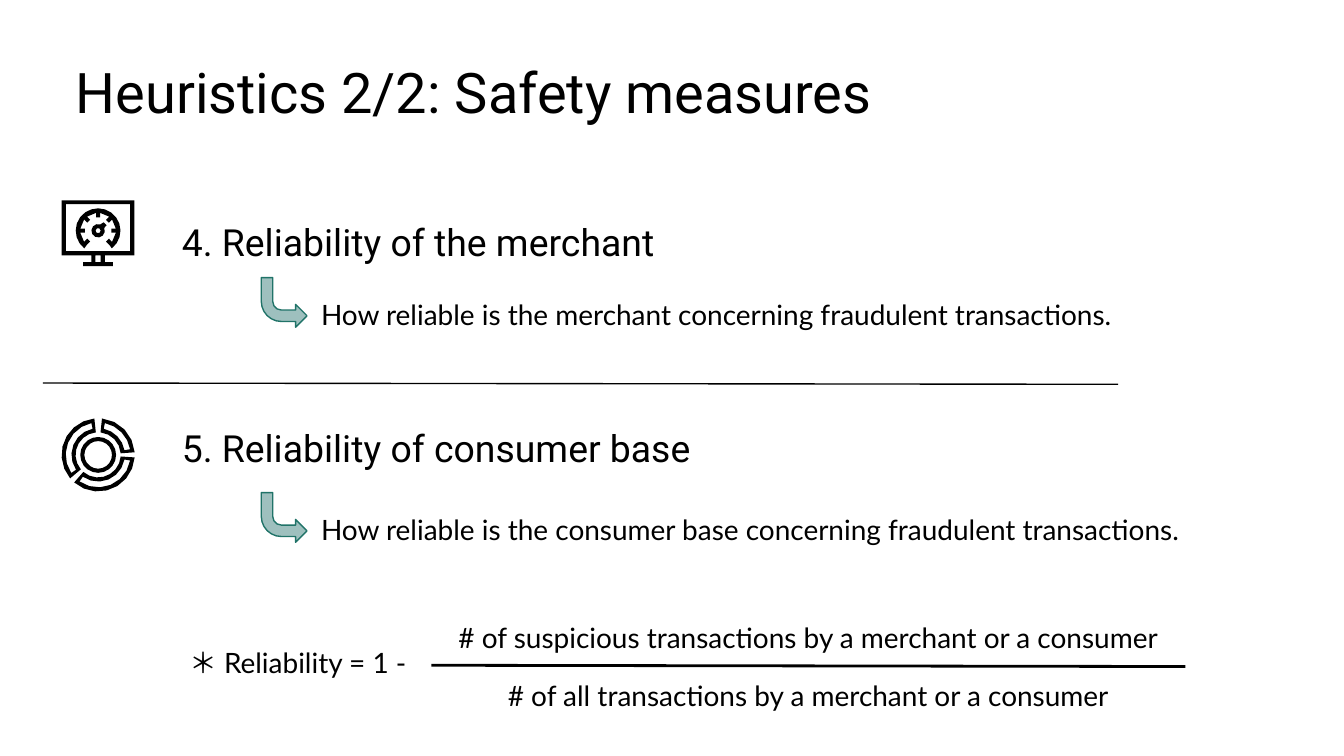
from dataclasses import dataclass
from math import cos, radians, sin

from lxml.etree import SubElement
from pptx import Presentation
from pptx.dml.color import RGBColor
from pptx.enum.shapes import MSO_CONNECTOR, MSO_SHAPE
from pptx.enum.text import MSO_ANCHOR, PP_ALIGN
from pptx.oxml.ns import qn
from pptx.util import Pt


@dataclass(frozen=True)
class Theme:
    ink: RGBColor = RGBColor(0x00, 0x00, 0x00)
    arrow_fill: RGBColor = RGBColor(0x9E, 0xC0, 0xBE)
    arrow_line: RGBColor = RGBColor(0x20, 0x73, 0x68)
    heading_font: str = "Roboto"
    body_font: str = "Lato"
    title_size: float = 30
    heading_size: float = 20
    body_size: float = 15
    thin: float = 0.75
    thick: float = 1.5
    inset: float = 7.2


# Icon geometry: angles in degrees, clockwise from the right
def polar(center, radius, angle):
    x, y = center
    return x + radius * cos(radians(angle)), y + radius * sin(radians(angle))


def arc(center, radius, start, end, step=18):
    count = max(1, round(abs(end - start) / step))
    return [polar(center, radius, start + (end - start) * i / count)
            for i in range(count + 1)]


def circle(center, radius, step=18):
    return arc(center, radius, 0, 360 - step, step)


def sector(center, inner, outer, start, end):
    return arc(center, outer, start, end) + arc(center, inner, end, start)


def rectangle(left, top, right, bottom):
    return [(left, top), (right, top), (right, bottom), (left, bottom)]


class SlideWriter:
    def __init__(self, page, theme):
        self.page = page
        self.theme = theme

    def text(self, words, left, top, width, height, size=None, font=None,
             anchor=MSO_ANCHOR.TOP, align=PP_ALIGN.LEFT):
        box = self.page.shapes.add_textbox(Pt(left), Pt(top), Pt(width), Pt(height))
        frame = box.text_frame
        frame.word_wrap = True
        frame.vertical_anchor = anchor
        inset = Pt(self.theme.inset)
        frame.margin_left = frame.margin_right = inset
        frame.margin_top = frame.margin_bottom = inset
        para = frame.paragraphs[0]
        para.text = words
        para.alignment = align
        para.font.name = font or self.theme.body_font
        para.font.size = Pt(size or self.theme.body_size)
        para.font.color.rgb = self.theme.ink

    def heading(self, words, left, top, width, height, size, anchor=MSO_ANCHOR.TOP):
        self.text(words, left, top, width, height, size,
                  self.theme.heading_font, anchor)

    def line(self, start, end, weight):
        rule = self.page.shapes.add_connector(
            MSO_CONNECTOR.STRAIGHT, *(Pt(value) for value in (*start, *end)))
        rule.line.color.rgb = self.theme.ink
        rule.line.width = Pt(weight)
        SubElement(rule.element.spPr, qn("a:effectLst"))

    def bent_arrow(self, left, top, width, height):
        arrow = self.page.shapes.add_shape(
            MSO_SHAPE.BENT_ARROW, Pt(left), Pt(top), Pt(width), Pt(height))
        arrow.shadow.inherit = False
        arrow.rotation = 180
        arrow.element.spPr.find(qn("a:xfrm")).set("flipH", "1")
        arrow.adjustments[3] = 0.44
        arrow.fill.solid()
        arrow.fill.fore_color.rgb = self.theme.arrow_fill
        arrow.line.color.rgb = self.theme.arrow_line
        arrow.line.width = Pt(self.theme.thin)

    def icon(self, parts):
        """Group of filled outlines; later contours of a part are holes."""
        group = self.page.shapes.add_group_shape()
        for contours in parts:
            contours = [[(Pt(x), Pt(y)) for x, y in contour] for contour in contours]
            builder = group.shapes.build_freeform(*contours[0][0])
            builder.add_line_segments(contours[0][1:], close=True)
            for hole in contours[1:]:
                builder.move_to(*hole[0])
                builder.add_line_segments(hole[1:], close=True)
            outline = builder.convert_to_shape()
            outline.shadow.inherit = False
            outline.fill.solid()
            outline.fill.fore_color.rgb = self.theme.ink
            outline.line.fill.background()


def gauge_icon():
    center = (52.6, 123.6)
    # Monitor on its stand
    monitor = [(33.1, 107.3), (72, 107.3), (72, 136.8), (56.2, 136.8),
               (56.2, 140.4), (60.5, 140.4), (60.5, 142.6), (44.6, 142.6),
               (44.6, 140.4), (49, 140.4), (49, 136.8), (33.1, 136.8)]
    screen = rectangle(35.3, 109.4, 69.8, 134.6)
    neck = rectangle(51.1, 136.8, 54, 140.4)
    # Dial with a tick every 45 degrees
    dial = arc(center, 12, 128, 412)
    for tick in range(405, 134, -45):
        dial += [polar(center, radius, tick + turn) for radius, turn in
                 ((9.6, 6.5), (7.2, 8.7), (7.2, -8.7), (9.6, -6.5))]
    # Hub with a needle to the upper right
    hub = arc(center, 3.6, -25, 290, 35)
    hub += [polar(center, 5.4, 303), polar(center, 5.4, 327)]
    return [[monitor, screen, neck], [dial], [hub, circle(center, 1.4, 60)]]


def donut_icon():
    center = (52.6, 243.7)
    parts = [[sector(center, 12.1, 19.6, start, end),
              sector(center, 14.3, 17.4, start + 6, end - 6)]
             for start, end in ((140, 264), (4, 131), (276, 356))]
    return parts + [[circle(center, 9.6), circle(center, 7.4)]]


def main():
    deck = Presentation()
    deck.slide_width, deck.slide_height = Pt(720), Pt(405)
    theme = Theme()
    page = deck.slides.add_slide(deck.slide_layouts[6])
    writer = SlideWriter(page, theme)

    # Title
    writer.heading("Heuristics 2/2: Safety measures", 33.5, 23.8, 618, 45.4,
                   theme.title_size)

    # Two measures: icon, heading, arrow and question
    measures = [
        (gauge_icon(), "4. Reliability of the merchant", 94, 54.5, 353, 148.7,
         "How reliable is the merchant concerning fraudulent transactions.", 483),
        (donut_icon(), "5. Reliability of consumer base", 228.2, 31, 418, 263.9,
         "How reliable is the consumer base concerning fraudulent transactions.", 508),
    ]
    for icon, name, top, height, width, arrow_top, question, question_width in measures:
        writer.heading(name, 90.3, top, width, height,
                       theme.heading_size, MSO_ANCHOR.BOTTOM)
        writer.icon(icon)
        writer.bent_arrow(140, arrow_top, 24.5, 26.6)
        writer.text(question, 164.9, arrow_top + 3.5, question_width, 34.6)
    writer.line((23, 205.2), (599, 205.9), theme.thin)

    # Reliability formula
    writer.text("＊ Reliability = 1 - ", 72, 338.4, 179.3, 36, align=PP_ALIGN.CENTER)
    for words, top in (
            ("# of suspicious transactions by a merchant or a consumer", 325.4),
            ("# of all transactions by a merchant or a consumer", 356.4)):
        writer.text(words, 224.3, top, 417.6, 31, align=PP_ALIGN.CENTER)
    writer.line((231.1, 356.4), (635, 357.1), theme.thick)

    deck.save("out.pptx")


if __name__ == "__main__":
    main()
